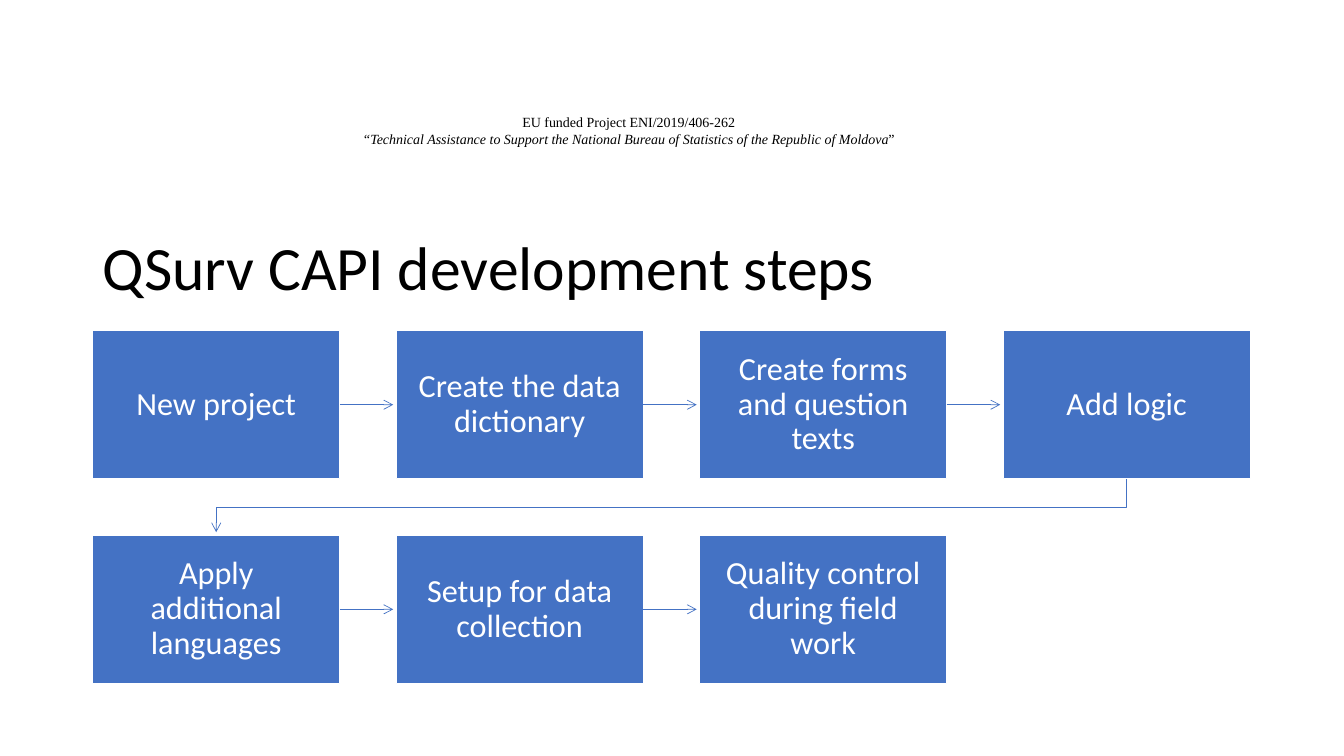
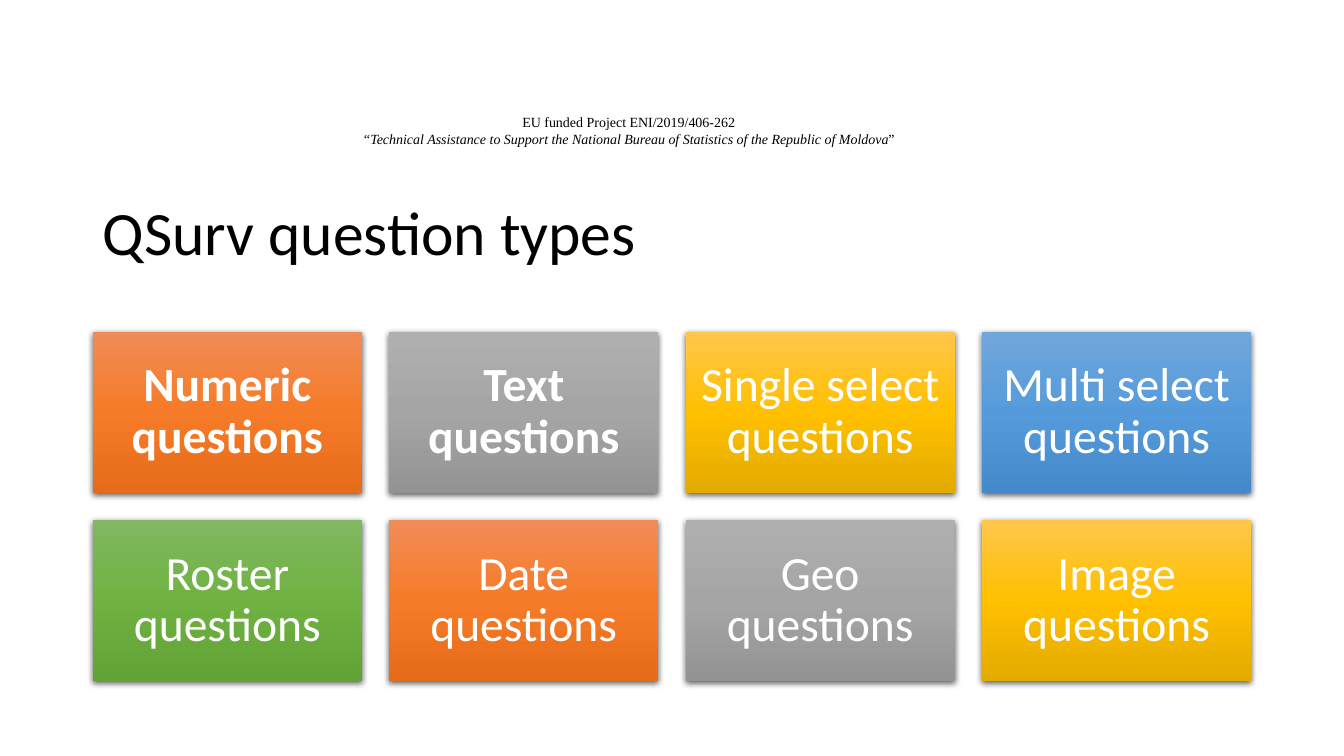
"""Build two slides on QSurv: the CAPI development steps and the question types."""
from lxml import etree
from pptx import Presentation
from pptx.dml.color import RGBColor
from pptx.enum.shapes import MSO_CONNECTOR, MSO_SHAPE
from pptx.enum.text import MSO_ANCHOR, PP_ALIGN
from pptx.oxml import parse_xml
from pptx.oxml.ns import nsdecls, qn
from pptx.util import Inches, Pt

RECT = MSO_SHAPE.RECTANGLE
STRAIGHT = MSO_CONNECTOR.STRAIGHT
MIDDLE, BOTTOM = MSO_ANCHOR.MIDDLE, MSO_ANCHOR.BOTTOM
CENTER = PP_ALIGN.CENTER

BLACK = RGBColor(0x00, 0x00, 0x00)
WHITE = RGBColor(0xFF, 0xFF, 0xFF)
BLUE = RGBColor(0x44, 0x72, 0xC4)
ORANGE_GRAD = ("F18C57", "F67B28", "E56C19")
GRAY_GRAD = ("AFAFAF", "A5A5A5", "939393")
GOLD_GRAD = ("FFC64B", "FFC000", "E3AB00")
BLUE_GRAD = ("71A6DB", "559BDB", "448ACA")
GREEN_GRAD = ("81B861", "6FB242", "62A336")

LEFT, COLS = 0.92, 4
SHADOW = (
    f'<a:effectLst {nsdecls("a")}><a:outerShdw blurRad="57150" dist="19050" dir="5400000" '
    'algn="ctr" rotWithShape="0"><a:srgbClr val="000000"><a:alpha val="63000"/></a:srgbClr>'
    '</a:outerShdw></a:effectLst>'
)


def add_card(s, x, y, w, h, text, size, inset):
    """Add a rectangle with centred white text."""
    sp = s.shapes.add_shape(RECT, Inches(x), Inches(y), Inches(w), Inches(h))
    tf = sp.text_frame
    tf.text = text
    tf.word_wrap = True
    tf.vertical_anchor = MIDDLE
    tf.margin_left = tf.margin_right = tf.margin_top = tf.margin_bottom = Inches(inset)
    p = tf.paragraphs[0]
    p.alignment = CENTER
    p.line_spacing = 0.9
    font = p.runs[0].font
    font.name, font.size, font.color.rgb = "Calibri", Pt(size), WHITE
    return sp


def style_arrow(sp):
    """Give a line its colour, its arrowhead and no shadow."""
    sp.line.color.rgb = BLUE
    sp.line.width = Pt(0.5)
    spPr = sp._element.spPr
    etree.SubElement(spPr.find(qn("a:ln")), qn("a:tailEnd"), type="arrow")
    etree.SubElement(spPr, qn("a:effectLst"))


prs = Presentation()
prs.slide_width, prs.slide_height = Inches(13.33), Inches(7.5)

slides = []
for title, anchor in (("QSurv CAPI development steps", BOTTOM), ("QSurv question types", MIDDLE)):
    s = prs.slides.add_slide(prs.slide_layouts[6])
    slides.append(s)

    tf = s.shapes.add_textbox(Inches(2.9), Inches(1.08), Inches(6.67), Inches(0.44)).text_frame
    tf.word_wrap = True
    tf.text = "EU funded Project ENI/2019/406-262"
    p = tf.add_paragraph()
    p.text = "“Technical Assistance to Support the National Bureau of Statistics of the Republic of Moldova"
    p.runs[0].font.italic = True
    p.add_run().text = "”"
    for p in tf.paragraphs:
        p.alignment = CENTER
        for r in p.runs:
            r.font.name, r.font.size, r.font.color.rgb = "Times New Roman", Pt(10), BLACK

    tf = s.shapes.add_textbox(Inches(LEFT), Inches(1.61), Inches(11.5), Inches(1.45)).text_frame
    tf.word_wrap = True
    tf.vertical_anchor = anchor
    tf.text = title
    p = tf.paragraphs[0]
    p.line_spacing = 0.9
    font = p.runs[0].font
    font.name, font.size, font.color.rgb = "Calibri", Pt(44), BLACK

steps_slide, types_slide = slides

STEPS = (
    "New project", "Create the data dictionary", "Create forms and question texts", "Add logic",
    "Apply additional languages", "Setup for data collection", "Quality control during field work",
)
STEP_W, STEP_H, STEP_TOP = 2.45, 1.47, 3.28
STEP_DX, STEP_DY = 3.01, 2.03
HEAD_GAP = 0.03

boxes = []
for i, text in enumerate(STEPS):
    row, col = divmod(i, COLS)
    sp = add_card(steps_slide, LEFT + col * STEP_DX, STEP_TOP + row * STEP_DY,
                  STEP_W, STEP_H, text, 23, 0.18)
    sp.shadow.inherit = False
    sp.fill.solid()
    sp.fill.fore_color.rgb = BLUE
    sp.line.color.rgb = WHITE
    sp.line.width = Pt(1)
    boxes.append(sp)

for start, end in zip(boxes, boxes[1:]):
    if start.top == end.top:
        y = start.top + start.height // 2
        arrow = steps_slide.shapes.add_connector(
            STRAIGHT, start.left + start.width, y, end.left - Inches(HEAD_GAP), y)
        arrow.begin_connect(start, 3)
    else:
        x1, x2 = (box.left + box.width // 2 for box in (start, end))
        y1 = start.top + start.height
        y_mid = (y1 + end.top) // 2
        builder = steps_slide.shapes.build_freeform(x1, y1)
        builder.add_line_segments(
            [(x1, y_mid), (x2, y_mid), (x2, end.top - Inches(HEAD_GAP))], close=False)
        arrow = builder.convert_to_shape()
        arrow.fill.background()
    style_arrow(arrow)

QUESTION_TYPES = (
    ("Numeric", ORANGE_GRAD, True), ("Text", GRAY_GRAD, True),
    ("Single select", GOLD_GRAD, False), ("Multi select", BLUE_GRAD, False),
    ("Roster", GREEN_GRAD, False), ("Date", ORANGE_GRAD, False),
    ("Geo", GRAY_GRAD, False), ("Image", GOLD_GRAD, False),
)
TYPE_W, TYPE_H, TYPE_TOP = 2.67, 1.6, 3.29
TYPE_DX, TYPE_DY = 2.94, 1.87

for i, (kind, colors, bold) in enumerate(QUESTION_TYPES):
    row, col = divmod(i, COLS)
    sp = add_card(types_slide, LEFT + col * TYPE_DX, TYPE_TOP + row * TYPE_DY,
                  TYPE_W, TYPE_H, f"{kind} questions", 34, 0.14)
    sp.text_frame.paragraphs[0].runs[0].font.bold = bold
    stops = "".join(f'<a:gs pos="{pos}"><a:srgbClr val="{color}"/></a:gs>'
                    for pos, color in zip((0, 50000, 100000), colors))
    spPr = sp._element.spPr
    spPr.append(parse_xml(f'<a:gradFill {nsdecls("a")} rotWithShape="1"><a:gsLst>{stops}</a:gsLst>'
                          '<a:lin ang="5400000" scaled="0"/></a:gradFill>'))
    sp.line.fill.background()
    spPr.append(parse_xml(SHADOW))

prs.save("out.pptx")
